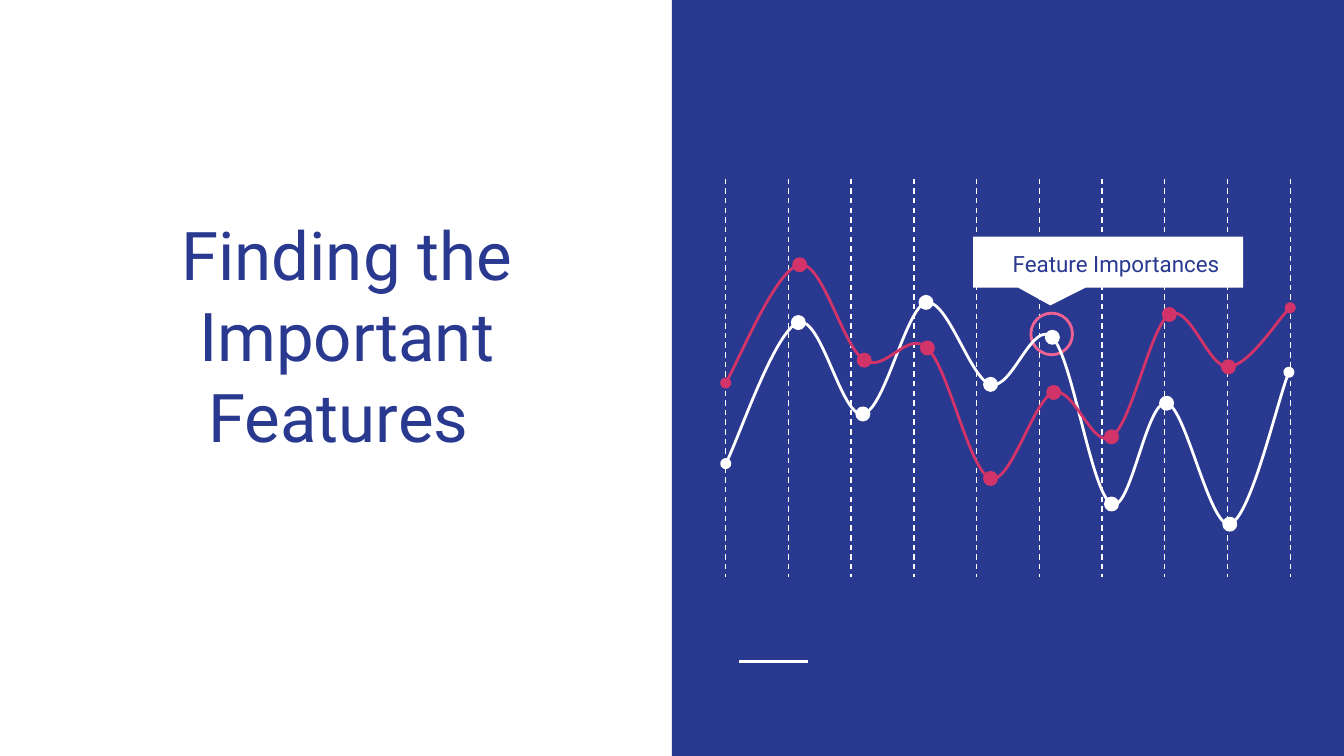
from dataclasses import dataclass

from lxml import etree
from pptx import Presentation, util as u
from pptx.dml.color import RGBColor
from pptx.enum import dml, shapes, text
from pptx.oxml.ns import qn


@dataclass
class Theme:
    blue = RGBColor.from_string("2A3990")
    white = RGBColor.from_string("FFFFFF")
    red = RGBColor.from_string("D23369")
    pink = RGBColor.from_string("F06292")
    font = "Roboto"
    title = u.Pt(36)
    label = u.Pt(12)
    thin = u.Pt(0.75)
    thick = u.Pt(1.5)


theme = Theme()
deck = Presentation()
deck.slide_width, deck.slide_height = u.Inches(10), u.Inches(5.625)
cell = deck.slide_width / 100  # square grid: 100 columns by 56.25 rows


def grid(*cells):
    """Turn columns and rows into slide lengths."""
    return [u.Emu(round(n * cell)) for n in cells]


def paint(shape, fill=None, line=None, width=theme.thick):
    shape.shadow.inherit = False
    if fill is None:
        shape.fill.background()
    else:
        shape.fill.solid()
        shape.fill.fore_color.rgb = fill
    if line is None:
        shape.line.fill.background()
    else:
        shape.line.color.rgb = line
        shape.line.width = width


slide = deck.slides.add_slide(deck.slide_layouts[5])
kind = shapes.MSO_SHAPE

# Right half
panel = slide.shapes.add_shape(kind.RECTANGLE, *grid(50, 0, 50, 56.25))
paint(panel, theme.blue)

# Accent rule, then ten evenly spaced dashed guides
guides = slide.shapes.add_group_shape()
rules = [(slide, 55, 49.2, 60.1, 49.2)]
rules += [(guides, 54 + i * 42 / 9, 13.3, 54 + i * 42 / 9, 42.9) for i in range(10)]
for owner, *ends in rules:
    rule = owner.shapes.add_connector(shapes.MSO_CONNECTOR.STRAIGHT, *grid(*ends))
    rule.line.color.rgb = theme.white
    rule.line.width = theme.thick
    if owner is guides:
        rule.line.width = theme.thin
        rule.line.dash_style = dml.MSO_LINE.DASH
    etree.SubElement(rule._element.spPr, qn("a:effectLst"))

ring = slide.shapes.add_shape(kind.OVAL, *grid(76.7, 23.3, 3.1, 3.1))
paint(ring, line=theme.pink)

# Each curve: its start, then two handles and an anchor for every bend
white = [(54, 34.5),
         (54.9, 32.8), (57.7, 24.6), (59.4, 24), (61.1, 23.4), (62.6, 31.1), (64.2, 30.8),
         (65.8, 30.6), (67.4, 22.9), (68.9, 22.5), (70.5, 22.2), (72.2, 28.2), (73.7, 28.6),
         (75.3, 29.1), (76.8, 23.7), (78.3, 25.1), (79.8, 26.6), (81.2, 36.7), (82.7, 37.5),
         (84.1, 38.3), (85.3, 29.7), (86.8, 30), (88.2, 30.2), (90, 39.3), (91.5, 39),
         (93, 38.6), (95.1, 29.6), (95.9, 27.7)]
red = [(54, 28.5),
       (54.9, 27), (57.8, 20), (59.5, 19.7), (61.2, 19.4), (62.7, 25.8), (64.3, 26.8),
       (65.9, 27.8), (67.5, 24.5), (69, 25.9), (70.6, 27.4), (72.1, 35), (73.7, 35.6),
       (75.2, 36.1), (76.9, 29.7), (78.4, 29.2), (79.9, 28.7), (81.3, 33.5), (82.7, 32.5),
       (84.2, 31.6), (85.6, 24.3), (87, 23.4), (88.5, 22.5), (89.9, 27.4), (91.4, 27.3),
       (92.9, 27.2), (95.2, 23.6), (96, 22.9)]

for points, color in ((white, theme.white), (red, theme.red)):
    if color == theme.red:
        bubble = slide.shapes.add_shape(kind.ROUNDED_RECTANGULAR_CALLOUT,
                                        *grid(72.4, 17.6, 20.1, 3.8))
        for i, share in enumerate((-0.214, 0.85, 0)):
            bubble.adjustments[i] = share
        paint(bubble, theme.white)

    group = slide.shapes.add_group_shape()
    pen = group.shapes.build_freeform(*grid(*points[0]))
    pen.add_line_segments([grid(*p) for p in points[1:]], close=False)
    curve = pen.convert_to_shape()
    paint(curve, line=color)

    # Every three straight steps become one cubic bend
    trace = next(curve._element.iter(qn("a:path")))
    steps = trace.findall(qn("a:lnTo"))
    for i in range(0, len(steps), 3):
        bend = etree.SubElement(trace, qn("a:cubicBezTo"))
        for step in steps[i:i + 3]:
            bend.append(step[0])
            trace.remove(step)
    for end in ("a:headEnd", "a:tailEnd"):
        etree.SubElement(curve.line._get_or_add_ln(), qn(end), type="oval")

    for x, y in points[3:-1:3]:
        dot = group.shapes.add_shape(kind.OVAL, *grid(x - 0.45, y - 0.45, 0.9, 0.9))
        paint(dot, color, color)

# Words
title = slide.shapes.title
label = slide.shapes.add_textbox(*grid(73, 17.9, 20.1, 3.1))
title.left, title.top, title.width, title.height = grid(3.7, 12.6, 44.2, 22.3)
anchor = text.MSO_ANCHOR
for box, words, size, place, gap in (
        (title, "Finding the Important Features ", theme.title, anchor.BOTTOM, 1),
        (label, "Feature Importances", theme.label, anchor.MIDDLE, 1.15)):
    frame = box.text_frame
    frame.text = words
    frame.word_wrap = True
    frame.auto_size = text.MSO_AUTO_SIZE.NONE
    frame.vertical_anchor = place
    pad, = grid(1)
    frame.margin_left = frame.margin_right = frame.margin_top = frame.margin_bottom = pad
    para = frame.paragraphs[0]
    para.alignment = text.PP_ALIGN.CENTER
    para.line_spacing = gap
    font = para.runs[0].font
    font.name, font.size, font.color.rgb = theme.font, size, theme.blue

deck.save("out.pptx")
